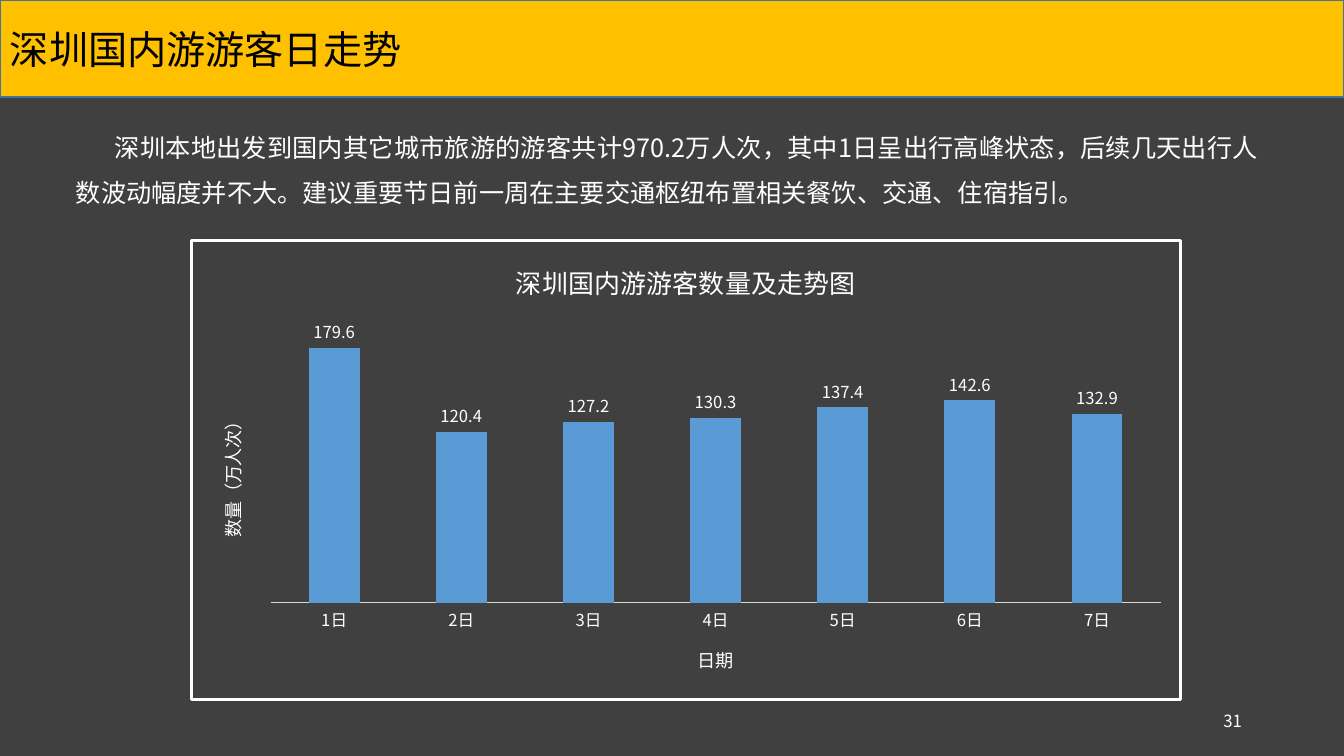
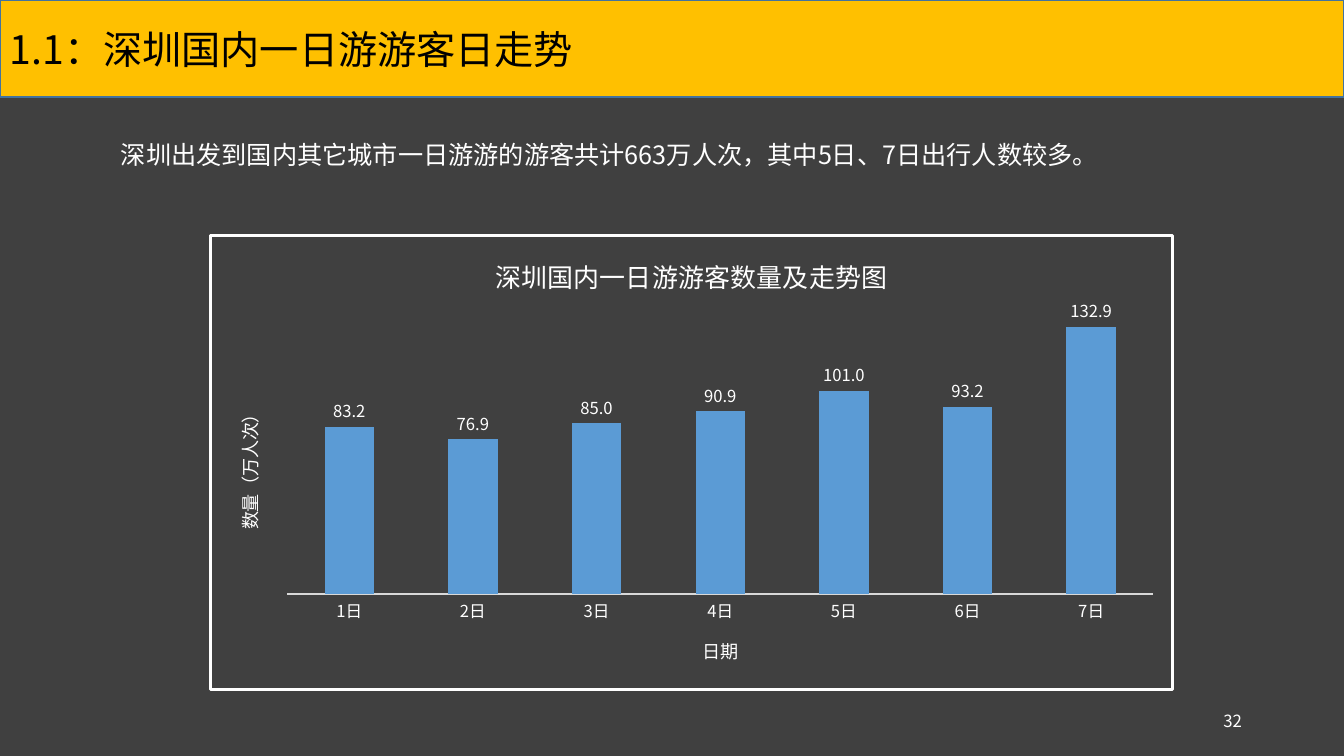
from dataclasses import dataclass

from lxml import etree
from pptx import Presentation
from pptx import util as u
from pptx.chart.data import CategoryChartData
from pptx.dml.color import RGBColor
from pptx.enum import chart as ch, shapes, text
from pptx.oxml import parse_xml
from pptx.oxml.ns import nsdecls, qn

SLIDES = [
    dict(
        title="深圳国内游游客日走势",
        body="深圳本地出发到国内其它城市旅游的游客共计970.2万人次，其中1日呈出行高峰状态，"
             "后续几天出行人数波动幅度并不大。建议重要节日前一周在主要交通枢纽布置相关餐饮、交通、住宿指引。",
        body_box=(66, 113, 1202, 100),
        chart_title="深圳国内游游客数量及走势图",
        chart_box=(190, 239, 992, 462),
        visitors=(179.6, 120.4, 127.2, 130.3, 137.4, 142.6, 132.9),
        axis_top=200,
        page="31",
    ),
    dict(
        title="1.1：深圳国内一日游游客日走势",
        body="深圳出发到国内其它城市一日游游的游客共计663万人次，其中5日、7日出行人数较多。",
        body_box=(72, 120, 1202, 55),
        chart_title="深圳国内一日游游客数量及走势图",
        chart_box=(209, 234, 965, 457),
        visitors=(83.2, 76.9, 85, 90.9, 101, 93.2, 132.9),
        axis_top=140,
        page="32",
    ),
]
DAYS = [f"{day}日" for day in range(1, 8)]
DAY_TITLE, VISITOR_TITLE = "日期", "数量（万人次）"

SLIDE_SIZE = (1344, 756)
BAND_BOX = (0, 0, 1344, 97)
PAGE_BOX = (950, 701, 302, 40)
PLOT_SHARE = dict(x=0.08, y=0.17, w=0.9, h=0.62)  # plot area within the chart
BODY_INDENT = 39


@dataclass(frozen=True)
class Theme:
    font: str = "Noto Sans CJK SC"
    background: str = "404040"
    band: str = "FFC000"
    band_line: str = "43739E"
    dark: str = "000000"
    light: str = "FFFFFF"
    bar: str = "5B9BD5"
    axis: str = "D9D9D9"
    title: float = 28
    body: float = 18
    body_line: float = 32
    page: float = 12
    chart_title: float = 18.6
    axis_title: float = 13
    label: float = 11.9
    border: float = 2.25


THEME = Theme()


def px(length):
    return round(length * u.Inches(1) / 100.8)


def place(box):
    return [px(length) for length in box]


def style_font(font, size, color):
    font.size = u.Pt(size)
    font.bold = False
    font.color.rgb = RGBColor.from_string(color)
    font.name = THEME.font
    latin = font._rPr.find(qn("a:latin"))
    east_asian = etree.Element(qn("a:ea"), typeface=THEME.font)
    latin.addnext(east_asian)


def write(frame, words, size, color):
    """Fill a text frame with one formatted paragraph and return it."""
    frame.text = words
    paragraph = frame.paragraphs[0]
    for run in paragraph.runs:
        style_font(run.font, size, color)
    return paragraph


def add_band(slide, title):
    band = slide.shapes.add_shape(shapes.MSO_SHAPE.RECTANGLE, *place(BAND_BOX))
    band.shadow.inherit = False
    band.fill.solid()
    band.fill.fore_color.rgb = RGBColor.from_string(THEME.band)
    band.line.color.rgb = RGBColor.from_string(THEME.band_line)
    band.line.width = u.Pt(1)
    band.text_frame.vertical_anchor = text.MSO_ANCHOR.MIDDLE
    heading = write(band.text_frame, title, THEME.title, THEME.dark)
    heading.alignment = text.PP_ALIGN.LEFT


def add_text(slide, box, words, size, alignment):
    frame = slide.shapes.add_textbox(*place(box)).text_frame
    frame.word_wrap = True
    paragraph = write(frame, words, size, THEME.light)
    paragraph.alignment = alignment
    return paragraph


def add_body(slide, box, words):
    body = add_text(slide, box, words, THEME.body, text.PP_ALIGN.JUSTIFY)
    body.line_spacing = u.Pt(THEME.body_line)
    body._p.get_or_add_pPr().set("indent", str(px(BODY_INDENT)))


def add_page_number(slide, number):
    add_text(slide, PAGE_BOX, number, THEME.page, text.PP_ALIGN.RIGHT)
    slide.shapes[-1].text_frame.vertical_anchor = text.MSO_ANCHOR.MIDDLE


def frame_chart(chart):
    """Give the chart its border and fix the plot area inside it."""
    border = parse_xml(
        f'<c:spPr {nsdecls("c", "a")}><a:noFill/><a:ln w="{u.Pt(THEME.border)}">'
        f'<a:solidFill><a:srgbClr val="{THEME.light}"/></a:solidFill></a:ln></c:spPr>')
    chart_part = chart._chartSpace.find(qn("c:chart"))
    chart_part.addnext(border)
    plot_area = chart_part.find(qn("c:plotArea"))
    for layout in plot_area.findall(qn("c:layout")):
        plot_area.remove(layout)
    shares = "".join(f'<c:{key} val="{share}"/>' for key, share in PLOT_SHARE.items())
    plot_area.insert(0, parse_xml(
        f'<c:layout {nsdecls("c")}><c:manualLayout><c:layoutTarget val="inner"/>'
        f'<c:xMode val="edge"/><c:yMode val="edge"/>{shares}</c:manualLayout></c:layout>'))


def add_visitor_chart(slide, box, title, visitors, axis_top):
    data = CategoryChartData(number_format="0.0")
    data.categories = DAYS
    data.add_series("Series 1", visitors)
    chart = slide.shapes.add_chart(
        ch.XL_CHART_TYPE.COLUMN_CLUSTERED, *place(box), data).chart
    style_font(chart.font, 10, THEME.dark)
    chart.has_legend = False
    write(chart.chart_title.text_frame, title, THEME.chart_title, THEME.light)
    chart.chart_title.include_in_layout = False

    days, amounts = chart.category_axis, chart.value_axis
    for axis, name in ((days, DAY_TITLE), (amounts, VISITOR_TITLE)):
        axis.has_major_gridlines = False
        write(axis.axis_title.text_frame, name, THEME.axis_title, THEME.light)
    turned = amounts.axis_title.text_frame._txBody.find(qn("a:bodyPr"))
    turned.set("rot", "-5400000")
    turned.set("vert", "horz")
    amounts.visible = False
    amounts.minimum_scale, amounts.maximum_scale = 0, axis_top
    days.major_tick_mark = ch.XL_TICK_MARK.NONE
    days.format.line.color.rgb = RGBColor.from_string(THEME.axis)
    days.format.line.width = u.Pt(0.75)
    style_font(days.tick_labels.font, THEME.label, THEME.light)

    plot = chart.plots[0]
    plot.gap_width = 150
    plot.vary_by_categories = False
    bars = plot.series[0]
    bars.format.fill.solid()
    bars.format.fill.fore_color.rgb = RGBColor.from_string(THEME.bar)
    labels = bars.data_labels
    labels.show_value = True
    labels.position = ch.XL_LABEL_POSITION.OUTSIDE_END
    labels.number_format = "0.0"
    labels.number_format_is_linked = False
    style_font(labels.font, THEME.label, THEME.light)
    frame_chart(chart)


def main():
    deck = Presentation()
    deck.slide_width, deck.slide_height = place(SLIDE_SIZE)
    for content in SLIDES:
        slide = deck.slides.add_slide(deck.slide_layouts[6])
        slide.background.fill.solid()
        slide.background.fill.fore_color.rgb = RGBColor.from_string(THEME.background)
        add_band(slide, content["title"])
        add_body(slide, content["body_box"], content["body"])
        add_page_number(slide, content["page"])
        add_visitor_chart(slide, content["chart_box"], content["chart_title"],
                          content["visitors"], content["axis_top"])
    deck.save("out.pptx")


if __name__ == "__main__":
    main()
